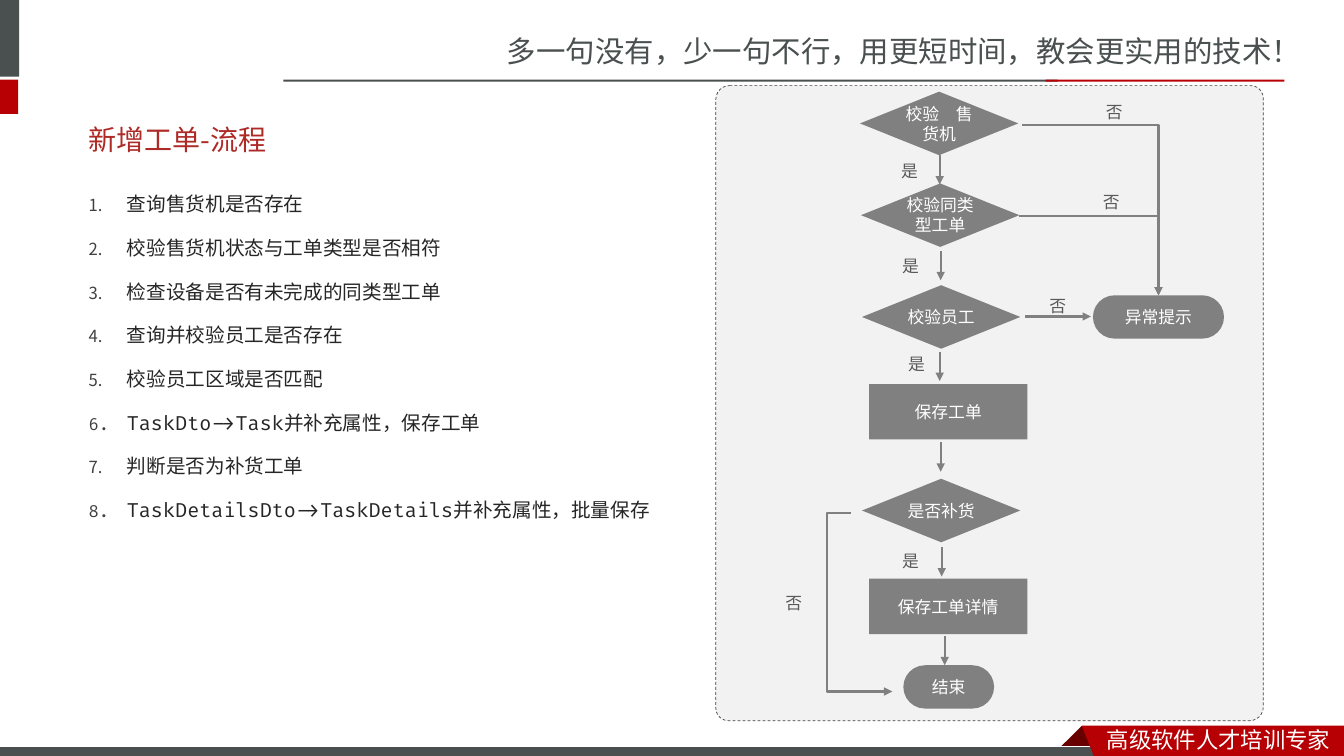
from dataclasses import dataclass

from lxml.etree import SubElement
from pptx import Presentation
from pptx.dml.color import RGBColor
from pptx.enum.dml import MSO_LINE
from pptx.enum.shapes import MSO_CONNECTOR as LINK, MSO_SHAPE as SHAPE
from pptx.enum.text import MSO_ANCHOR as ANCHOR, PP_ALIGN as ALIGN
from pptx.oxml.ns import qn
from pptx.util import Inches, Pt

CELL = 0.1  # inches per grid column and row


@dataclass(frozen=True)
class Theme:
    slate: str = "49504F"
    red: str = "B60004"
    dark_red: str = "680000"
    title_red: str = "AD2A26"
    panel: str = "F2F2F2"
    panel_edge: str = "404040"
    node: str = "808080"
    label: str = "595959"
    body: str = "262626"
    white: str = "FFFFFF"
    sans: str = "Noto Sans CJK JP"
    banner_font: str = "Noto Sans CJK SC"
    code: str = "Fira Code"
    slogan_size: int = 21
    title_size: int = 20
    tagline_size: int = 16
    body_size: int = 14
    flow_size: int = 12


def grid(*cells):
    return [Inches(cell * CELL) for cell in cells]


def rgb(color):
    return RGBColor.from_string(color)


class FlowSlide:
    def __init__(self, deck, theme):
        self.theme = theme
        self.shapes = deck.slides.add_slide(deck.slide_layouts[6]).shapes

    def style(self, paragraph, size, color, font, east_font=None):
        for run in paragraph.runs:
            run.font.size = Pt(size)
            run.font.color.rgb = rgb(color)
            run.font.name = font
            east = SubElement(run.font._element, qn("a:ea"))
            east.set("typeface", east_font or font)

    def paint(self, shape, fill, edge=None, width=0.75):
        shape.shadow.inherit = False
        shape.fill.solid()
        shape.fill.fore_color.rgb = rgb(fill)
        if edge:
            shape.line.color.rgb = rgb(edge)
            shape.line.width = Pt(width)
        else:
            shape.line.fill.background()
        return shape

    def block(self, kind, place, fill, edge=None, width=0.75, adjust=()):
        shape = self.shapes.add_shape(kind, *grid(*place))
        for index, value in enumerate(adjust):
            shape.adjustments[index] = value
        return self.paint(shape, fill, edge, width)

    def outline(self, points, fill):
        start, *rest = [grid(*point) for point in points]
        builder = self.shapes.build_freeform(*start)
        builder.add_line_segments(rest, close=True)
        self.paint(builder.convert_to_shape(), fill)

    def text(self, words, place, size, color, font, anchor=ANCHOR.TOP):
        frame = self.shapes.add_textbox(*grid(*place)).text_frame
        frame.word_wrap = True
        frame.vertical_anchor = anchor
        frame.text = words
        self.style(frame.paragraphs[0], size, color, font)

    def numbered(self, items, place):
        theme = self.theme
        frame = self.shapes.add_textbox(*grid(*place)).text_frame
        frame.word_wrap = True
        frame.text = "\n".join(items)
        for index, step in enumerate(frame.paragraphs):
            step.line_spacing = 1.5
            if index:
                step.space_before = Pt(6)
            props = step._p.get_or_add_pPr()
            props.set("marL", str(Inches(0.38)))
            props.set("indent", str(-Inches(0.38)))
            tint = SubElement(props, qn("a:buClr"))
            SubElement(tint, qn("a:srgbClr")).set("val", theme.panel_edge)
            SubElement(props, qn("a:buSzPct")).set("val", "85000")
            SubElement(props, qn("a:buFont")).set("typeface", "+mj-lt")
            SubElement(props, qn("a:buAutoNum")).set("type", "arabicPeriod")
            self.style(step, theme.body_size, theme.body, theme.code, theme.banner_font)

    def node(self, kind, words, place):
        adjust = (0.5,) if kind == SHAPE.ROUNDED_RECTANGLE else ()
        frame = self.block(kind, place, self.theme.node, adjust=adjust).text_frame
        frame.margin_left = frame.margin_right = frame.margin_top = frame.margin_bottom = 0
        frame.word_wrap = True
        frame.vertical_anchor = ANCHOR.MIDDLE
        frame.text = words
        frame.paragraphs[0].alignment = ALIGN.CENTER
        self.style(frame.paragraphs[0], self.theme.flow_size, self.theme.white, self.theme.sans)

    def arrow(self, start, end, preset="line", bend=None):
        """Draw an arrow; bend is where a three-part elbow turns, as a share of its width."""
        kind = LINK.STRAIGHT if preset == "line" else LINK.ELBOW
        link = self.shapes.add_connector(kind, *grid(*start, *end))
        link.line.color.rgb = rgb(self.theme.node)
        link.line.width = Pt(1.5)
        props = link._element.spPr
        shape = props.find(qn("a:prstGeom"))
        shape.set("prst", preset)
        if bend is not None:
            guide = SubElement(shape.get_or_add_avLst(), qn("a:gd"))
            guide.set("name", "adj1")
            guide.set("fmla", f"val {round(bend * 100000)}")
        SubElement(props.find(qn("a:ln")), qn("a:tailEnd")).set("type", "triangle")
        SubElement(props, qn("a:effectLst"))


def draw_frame(page, theme):
    page.text("多一句没有，少一句不行，用更短时间，教会更实用的技术！", (49.3, 2.8, 84.1, 4.7),
              theme.slogan_size, theme.slate, theme.banner_font)
    for place, color in (
        ((-0.6, 0, 2.5, 7.6), theme.slate),
        ((-0.6, 7.9, 2.4, 3.4), theme.red),
        ((28.1, 7.9, 76.8, 0.2), theme.slate),
        ((103.7, 7.9, 23.7, 0.2), theme.red),
    ):
        page.block(SHAPE.RECTANGLE, place, color)
    page.outline([(107.3, 72), (109.5, 74.2), (109.4, 74.3), (105.2, 74.3), (105.1, 74.2)],
                 theme.dark_red)
    page.block(SHAPE.RECTANGLE, (-0.1, 74.1, 110, 1.2), theme.slate, theme.white)
    page.outline([(107.3, 72), (133.3, 72), (133.3, 75.4), (108.6, 75.3)], theme.red)
    page.text("高级软件人才培训专家", (108.8, 71.5, 24.5, 3.7),
              theme.tagline_size, theme.white, theme.banner_font)


def draw_steps(page, theme):
    page.numbered((
        "查询售货机是否存在",
        "校验售货机状态与工单类型是否相符",
        "检查设备是否有未完成的同类型工单",
        "查询并校验员工是否存在",
        "校验员工区域是否匹配",
        "TaskDto->Task并补充属性，保存工单",
        "判断是否为补货工单",
        "TaskDetailsDto->TaskDetails并补充属性，批量保存",
    ), (7.8, 17.4, 71, 38.8))
    page.text("新增工单-流程", (7.8, 11, 117.6, 5.7),
              theme.title_size, theme.title_red, theme.sans, ANCHOR.MIDDLE)


def draw_flow(page, theme):
    panel = page.block(SHAPE.ROUND_2_DIAG_RECTANGLE, (71, 8.5, 54.3, 63), theme.panel,
                       theme.panel_edge, 0.5, (0.025, 0.023))
    panel.line.dash_style = MSO_LINE.DASH

    for words, left, top in (("校验　售货机", 85.3, 9.1), ("校验同类型工单", 85.4, 18.2),
                             ("校验员工", 85.5, 28.3), ("是否补货", 85.5, 47.5)):
        page.node(SHAPE.FLOWCHART_DECISION, words, (left, top, 15.7, 6.3))
    for words, top in (("保存工单", 38.1), ("保存工单详情", 57.4)):
        page.node(SHAPE.RECTANGLE, words, (86.2, top, 15.7, 5.5))
    for words, left, top, width in (("结束", 89.6, 66, 9), ("异常提示", 108.4, 29.3, 13)):
        page.node(SHAPE.ROUNDED_RECTANGLE, words, (left, top, width, 4.3))

    for column, row in ((93.2, 15.4), (93.3, 24.9), (93.2, 34.9),
                        (93.3, 43.9), (93.4, 54.3), (93.7, 63.1)):
        page.arrow((column, row), (column, row + 2.9))
    page.arrow((84.4, 50.9), (88.5, 68.6), "bentConnector3", -0.58)
    for start in ((101.4, 12.4), (101.1, 21.4)):
        page.arrow(start, (114.9, 29.3), "bentConnector2")
    page.arrow((101.7, 31.4), (108.2, 31.4))

    answers = {
        "是": ((88.4, 15.5), (88.5, 24.9), (89.1, 34.6), (88.5, 54.1)),
        "否": ((108.7, 9.6), (108.4, 18.5), (103.1, 28.8), (76.9, 58.3)),
    }
    for answer, places in answers.items():
        for place in places:
            page.text(answer, (*place, 3.6, 3), theme.flow_size, theme.label, theme.sans)


def main():
    deck = Presentation()
    deck.slide_width, deck.slide_height = grid(133.3, 75)
    theme = Theme()
    page = FlowSlide(deck, theme)
    draw_frame(page, theme)
    draw_steps(page, theme)
    draw_flow(page, theme)
    deck.save("out.pptx")


if __name__ == "__main__":
    main()
